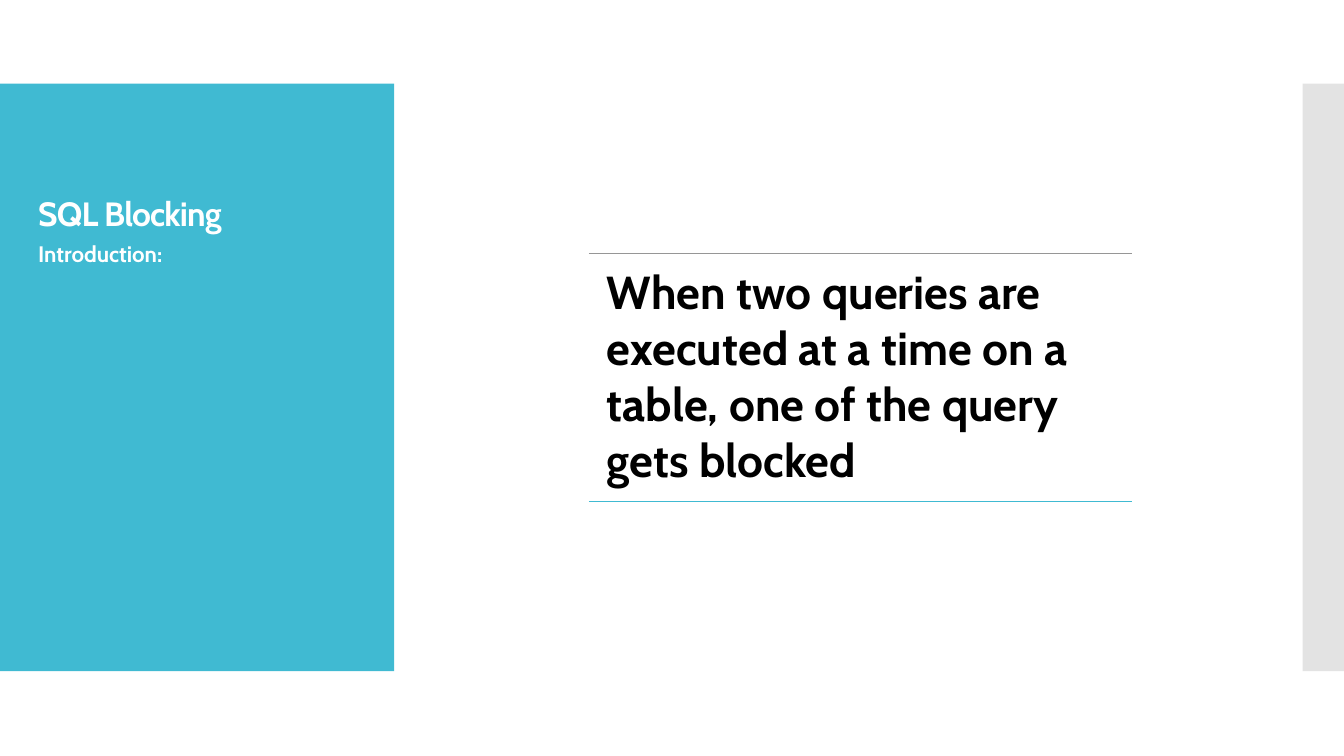
from dataclasses import dataclass

from lxml.etree import SubElement
from pptx import Presentation
from pptx.dml.color import RGBColor
from pptx.enum.shapes import MSO_SHAPE
from pptx.enum.text import MSO_ANCHOR
from pptx.oxml import parse_xml
from pptx.oxml.ns import nsdecls, qn
from pptx.util import Inches, Pt


@dataclass(frozen=True)
class Theme:
    font: str = "Cabin"
    teal: str = "40BAD2"
    gray: str = "E3E3E3"
    rule: str = "969696"
    white: str = "FFFFFF"
    black: str = "000000"
    title_size: int = 24
    subtitle_size: int = 16
    statement_size: int = 33


theme = Theme()


def style_text(frame, size, color):
    for para in frame.paragraphs:
        for span in para.runs:
            span.font.name = theme.font
            span.font.size = Pt(size)
            span.font.bold = True
            span.font.color.rgb = RGBColor.from_string(color)


deck = Presentation()
deck.slide_width = Inches(13.33)
deck.slide_height = Inches(7.5)
page = deck.slides.add_slide(deck.slide_layouts[6])

for left, width, color in [(0, 3.91, theme.teal), (12.92, 0.41, theme.gray)]:
    panel = page.shapes.add_shape(
        MSO_SHAPE.RECTANGLE, Inches(left), Inches(0.83), Inches(width), Inches(5.83)
    )
    panel.shadow.inherit = False
    panel.fill.solid()
    panel.fill.fore_color.rgb = RGBColor.from_string(color)
    panel.line.fill.background()

headings = [
    ("SQL Blocking", 1.23, 1.14, theme.title_size, MSO_ANCHOR.BOTTOM, -60),
    ("Introduction:", 2.36, 4.09, theme.subtitle_size, MSO_ANCHOR.TOP, 0),
]
for text, top, height, size, anchor, spacing in headings:
    box = page.shapes.add_textbox(Inches(0.28), Inches(top), Inches(3.22), Inches(height))
    frame = box.text_frame
    frame.word_wrap = True
    frame.vertical_anchor = anchor
    frame.text = text
    para = frame.paragraphs[0]
    para.line_spacing = 0.9
    style_text(frame, size, theme.white)
    para.runs[0].font._element.set("spc", str(spacing))

table = page.shapes.add_table(
    1, 1, Inches(5.84), Inches(2.51), Inches(5.39), Inches(2.46)
).table
table.first_row = False
table.horz_banding = False
cell = table.cell(0, 0)
cell.vertical_anchor = MSO_ANCHOR.MIDDLE
cell.margin_left = cell.margin_right = Inches(0.18)
cell.margin_top = cell.margin_bottom = Inches(0.09)
cell.text_frame.text = "When two queries are executed at a time on a table, one of the query gets blocked"
style_text(cell.text_frame, theme.statement_size, theme.black)
cell.fill.background()

borders = [("lnL", None), ("lnR", None), ("lnT", theme.rule), ("lnB", theme.teal)]
for position, (side, color) in enumerate(borders):
    border = parse_xml(f'<a:{side} {nsdecls("a")} w="{Pt(0.5)}"/>')
    if color:
        fill = SubElement(border, qn("a:solidFill"))
        SubElement(fill, qn("a:srgbClr"), val=color)
    else:
        SubElement(border, qn("a:noFill"))
    cell._tc.get_or_add_tcPr().insert(position, border)

deck.save("out.pptx")
